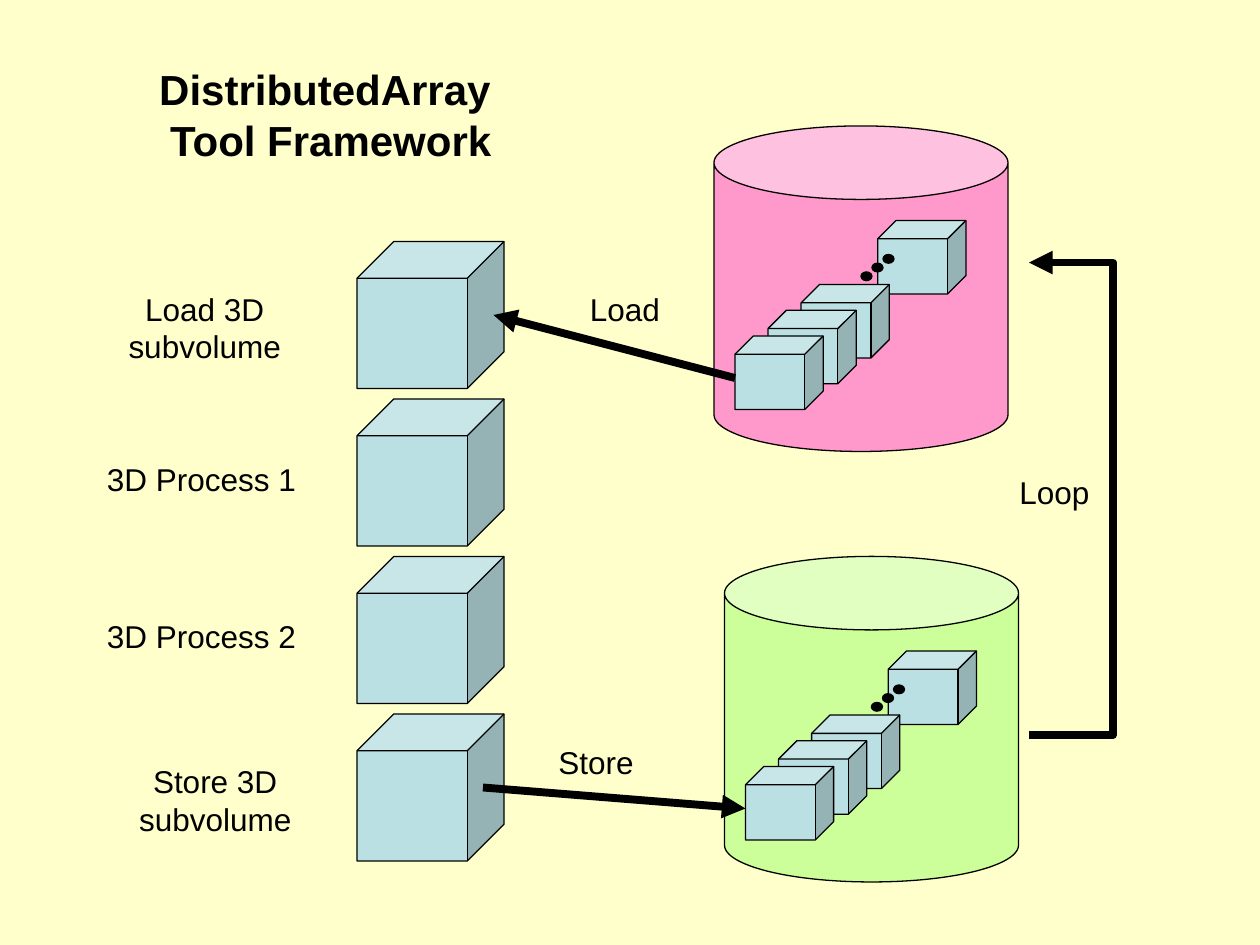
from lxml import etree
from pptx import Presentation
from pptx.dml.color import RGBColor
from pptx.enum.shapes import MSO_CONNECTOR, MSO_SHAPE
from pptx.enum.text import MSO_AUTO_SIZE, PP_ALIGN
from pptx.oxml.ns import qn
from pptx.util import Inches, Pt

CUBE, CAN, DOT = MSO_SHAPE.CUBE, MSO_SHAPE.CAN, MSO_SHAPE.OVAL
STRAIGHT = MSO_CONNECTOR.STRAIGHT
LEFT, CENTER = PP_ALIGN.LEFT, PP_ALIGN.CENTER
FIT = MSO_AUTO_SIZE.SHAPE_TO_FIT_TEXT
COLORS = {name: RGBColor.from_string(value) for name, value in {
    "background": "FFFFCC", "volume": "BBE0E3", "input": "FF99CC",
    "output": "CCFF99", "ink": "000000"}.items()}

prs = Presentation()
prs.slide_width, prs.slide_height = Inches(10), Inches(7.5)
UNIT = prs.slide_width / 120  # the slide is a grid of 120 columns by 90 rows

slide = prs.slides.add_slide(prs.slide_layouts[6])
slide.background.fill.solid()
slide.background.fill.fore_color.rgb = COLORS["background"]


def add_solid(parent, preset, color, *box):
    """Add an outlined preset shape; box is column, row, columns, rows."""
    solid = parent.shapes.add_shape(preset, *[round(n * UNIT) for n in box])
    solid.shadow.inherit = False
    solid.fill.solid()
    solid.fill.fore_color.rgb = COLORS[color]
    solid.line.color.rgb = COLORS["ink"]
    solid.line.width = Pt(0.75)
    return solid


def style_arrow(arrow):
    arrow.line.color.rgb = COLORS["ink"]
    arrow.line.width = Pt(4.5)
    properties = arrow._element.spPr
    line = properties.find(qn("a:ln"))
    etree.SubElement(line, qn("a:tailEnd"), type="triangle")
    if properties.find(qn("a:effectLst")) is None:
        line.addnext(etree.Element(qn("a:effectLst")))


# Column of processing steps
for step in range(4):
    add_solid(slide, CUBE, "volume", 34, 23 + 15 * step, 14, 14)

# Stores, each holding a receding row of subvolumes
for color, col, row in [("input", 68, 12), ("output", 69, 53)]:
    store = add_solid(slide, CAN, color, col, row, 28, 31)
    store.adjustments[0] = 0.25
    subvolumes = slide.shapes.add_group_shape()
    add_solid(subvolumes, CUBE, "volume", col + 15.6, row + 9, 8.4, 7)
    for depth in (2, 1, 0):
        add_solid(subvolumes, CUBE, "volume",
                  col + 2 + 3.15 * depth, row + 20 - 2.45 * depth, 8.4, 7)
    for dot in range(3):
        add_solid(subvolumes, DOT, "ink",
                  col + 14 + 1.05 * dot, row + 13.9 - 0.83 * dot, 1.05, 0.83)

# Load and store arrows
for ends in [(70, 36, 47, 30), (46, 75, 71, 77)]:
    arrow = slide.shapes.add_connector(STRAIGHT, *[round(n * UNIT) for n in ends])
    style_arrow(arrow)

# Loop from the output store back to the input store
outline = slide.shapes.build_freeform(98, 70, scale=UNIT)
outline.add_line_segments([(106, 70), (106, 25), (98, 25)], close=False)
loop = outline.convert_to_shape()
loop.fill.background()
loop.shadow.inherit = False
style_arrow(loop)

# Labels: lines, column, row, columns, rows, alignment, size, bold
for lines, col, row, cols, rows, align, size, bold in [
    (["DistributedArray ", "Tool Framework"], 13.5, 5.5, 36, 10.8, CENTER, 24, True),
    (["Load 3D", "subvolume"], 11, 27, 17, 8.4, CENTER, 18, False),
    (["3D Process 1"], 9, 43.2, 20.4, 4.8, LEFT, 18, False),
    (["3D Process 2"], 9, 58.2, 20.4, 4.8, LEFT, 18, False),
    (["Store 3D", "subvolume"], 12, 72, 17, 8.4, CENTER, 18, False),
    (["Load"], 55, 27, 9.6, 4.8, LEFT, 18, False),
    (["Store"], 52, 70.2, 10, 4.8, LEFT, 18, False),
    (["Loop"], 95.9, 44.5, 9.6, 4.8, LEFT, 18, False),
]:
    label = slide.shapes.add_textbox(
        *[round(n * UNIT) for n in (col, row, cols, rows)]).text_frame
    label.word_wrap = False
    label.auto_size = FIT
    label.text = "\n".join(lines)
    for paragraph in label.paragraphs:
        paragraph.alignment = align
        paragraph.font.name = "Arial"
        paragraph.font.size = Pt(size)
        paragraph.font.bold = bold
        paragraph.font.color.rgb = COLORS["ink"]

prs.save("out.pptx")
